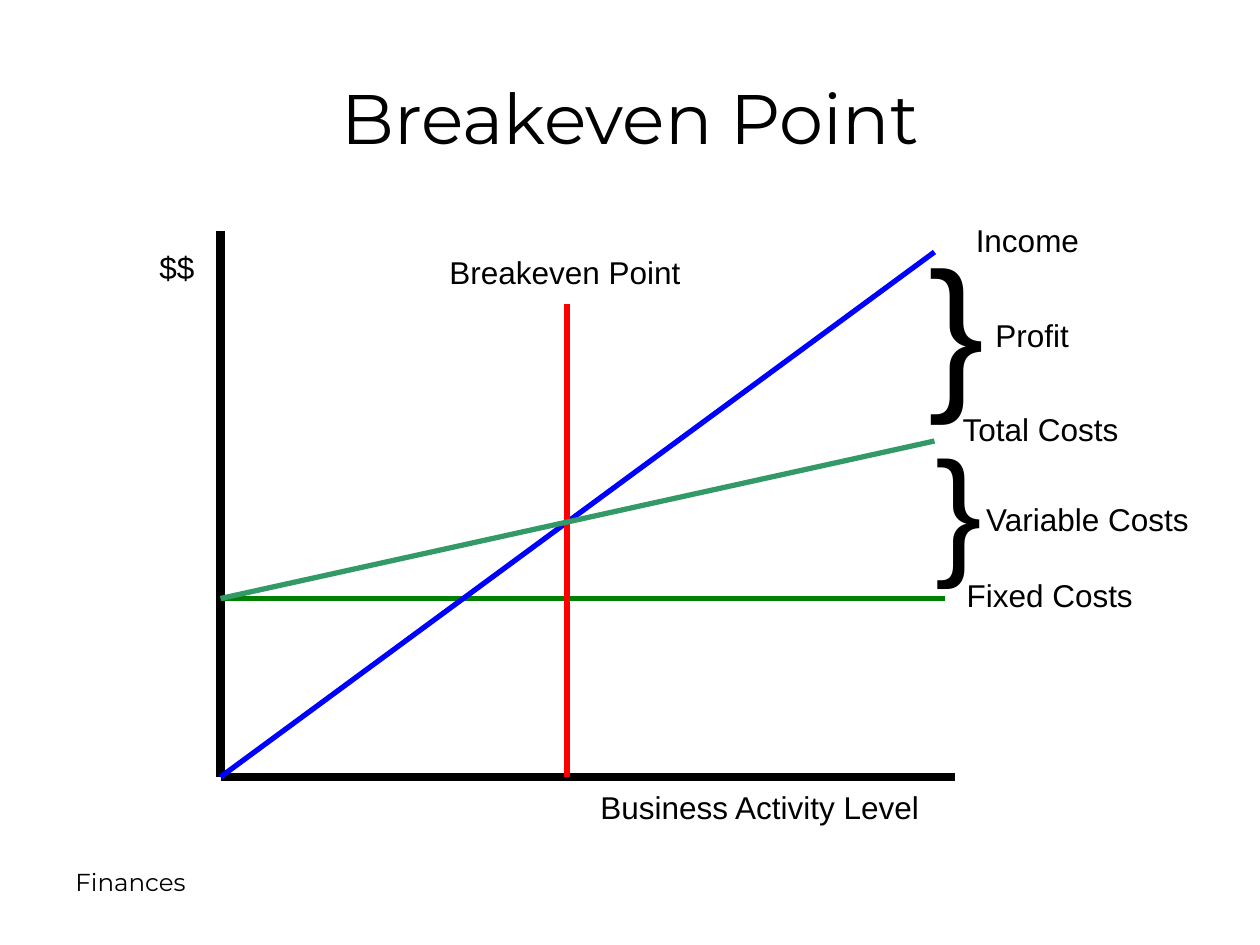
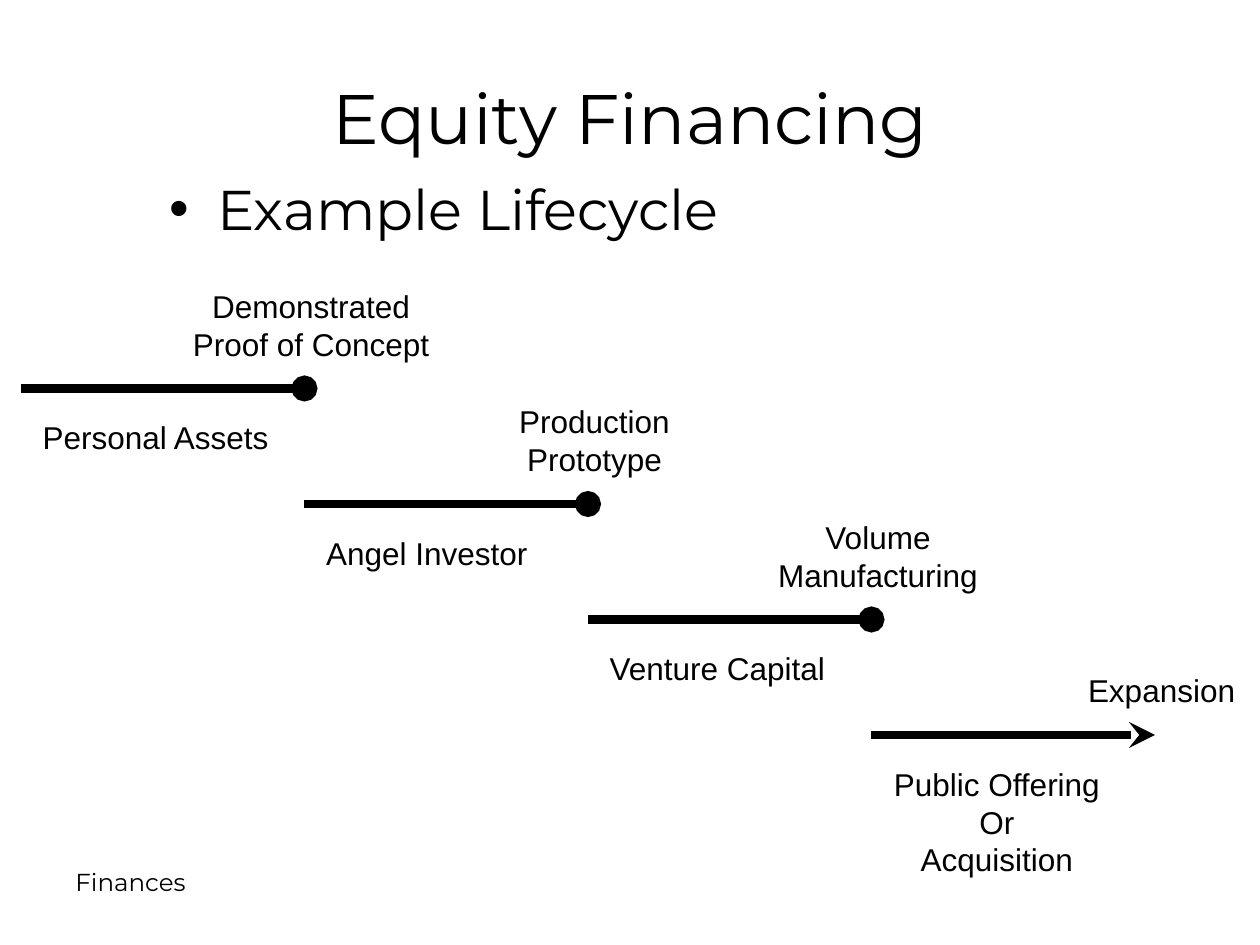
from lxml.etree import SubElement
from pptx import Presentation
from pptx.dml.color import RGBColor
from pptx.enum.shapes import MSO_CONNECTOR as Connector
from pptx.enum.text import MSO_ANCHOR as Anchor, MSO_AUTO_SIZE as AutoSize, PP_ALIGN as Align
from pptx.oxml.ns import qn
from pptx.util import Pt

PX = 9525  # EMU per px, 96 px to the inch
WIDTH, HEIGHT = 960, 720
TITLE_ONLY = 5

BLACK = RGBColor(0x00, 0x00, 0x00)
RED = RGBColor(0xFF, 0x00, 0x00)
BLUE = RGBColor(0x00, 0x00, 0xFF)
GREEN = RGBColor(0x00, 0x80, 0x00)
SEA_GREEN = RGBColor(0x33, 0x99, 0x66)

TITLE = {"name": "Montserrat", "size": Pt(40)}
BULLET = {"name": "Montserrat", "size": Pt(32)}
FOOTER = {"name": "Montserrat", "size": Pt(14)}
LABEL = {"name": "Arial", "size": Pt(18)}

FIXED = {"word_wrap": True, "auto_size": AutoSize.NONE}
GROWING = {"word_wrap": False, "auto_size": AutoSize.SHAPE_TO_FIT_TEXT}


def apply(target, values):
    for name, value in values.items():
        setattr(target, name, value)


class Deck:
    """Holds the shared style and the current slide."""

    def __init__(self):
        self.prs = Presentation()
        self.prs.slide_width, self.prs.slide_height = WIDTH * PX, HEIGHT * PX
        self.slide = None

    def new_slide(self, title):
        layout = self.prs.slide_layouts[TITLE_ONLY]
        self.slide = self.prs.slides.add_slide(layout)
        heading = self.slide.shapes.title
        box = {"left": 48, "top": 29, "width": 864, "height": 120}
        apply(heading, {side: px * PX for side, px in box.items()})
        self.set_text(heading.text_frame, title, TITLE, Align.CENTER,
                      {**FIXED, "vertical_anchor": Anchor.MIDDLE})
        self.text("Finances", 48, 656, 224, 50, FOOTER, frame=FIXED)

    def set_text(self, frame, words, font, align, settings):
        apply(frame, settings)
        frame.text = words
        for paragraph in frame.paragraphs:
            paragraph.alignment = align
            for run in paragraph.runs:
                apply(run.font, font)
                run.font.color.rgb = BLACK

    def text(self, words, x, y, width, height=38, font=LABEL,
             align=Align.LEFT, frame=GROWING):
        box = self.slide.shapes.add_textbox(x * PX, y * PX, width * PX, height * PX)
        self.set_text(box.text_frame, words, font, align, frame)
        return box

    def bullet(self, words, x, y, width, height, indent=36):
        box = self.text(words, x, y, width, height, BULLET, frame=FIXED)
        properties = box.text_frame.paragraphs[0]._p.get_or_add_pPr()
        properties.set("marL", str(indent * PX))
        properties.set("indent", str(-indent * PX))
        SubElement(properties, qn("a:buFont"), typeface="Arial")
        SubElement(properties, qn("a:buChar"), char="•")

    def line(self, start, end, color=BLACK, weight=5, tip=None):
        ends = [px * PX for px in (*start, *end)]
        stroke = self.slide.shapes.add_connector(Connector.STRAIGHT, *ends)
        stroke.line.color.rgb = color
        stroke.line.width = Pt(weight)
        properties = stroke._element.spPr
        if tip:
            SubElement(properties.find(qn("a:ln")), qn("a:tailEnd"), type=tip)
        SubElement(properties, qn("a:effectLst"))


def breakeven_slide(deck):
    deck.new_slide("Breakeven Point")
    origin_x, origin_y = 168, 592
    fixed_y, breakeven_x, curve_end = 456, 432, 712
    origin = (origin_x, origin_y)

    # Axes
    deck.line((origin_x, 176), origin)
    deck.line(origin, (728, origin_y))

    # Cost and income lines
    deck.line((origin_x, fixed_y), (720, fixed_y), GREEN, 3)
    deck.line(origin, (curve_end, 192), BLUE, 3)
    deck.line((breakeven_x, origin_y), (breakeven_x, 232), RED, 4)
    deck.line((origin_x, fixed_y), (curve_end, 336), SEA_GREEN, 3)

    # Labels: words, left, top, width
    for label in (
        ("Business Activity Level", 448, 596, 263),
        ("$$", 112, 184, 46),
        ("Fixed Costs", 727, 434, 146),
        ("Income", 734, 164, 98),
        ("Breakeven Point", 333, 188, 195),
        ("Total Costs", 724, 308, 140),
        ("Variable Costs", 742, 376, 175),
        ("Profit", 749, 236, 75),
    ):
        deck.text(*label)

    # Braces for variable costs and profit
    for x, y, width, height, points in ((703, 316, 55, 138, 80),
                                        (698, 165, 61, 163, 96)):
        deck.text("}", x, y, width, height, {**LABEL, "size": Pt(points)})


def equity_slide(deck):
    deck.new_slide("Equity Financing")
    deck.bullet("Example Lifecycle", 120, 128, 728, 64)

    # Funding stages descend in equal steps
    stages = (
        ("Personal Assets", 192, "Demonstrated\nProof of Concept"),
        ("Angel Investor", 173, "Production\nPrototype"),
        ("Venture Capital", 184, "Volume\nManufacturing"),
        ("Public Offering\nOr\nAcquisition", 177, "Expansion"),
    )
    length, drop = 216, 88
    for step, (source, source_width, milestone) in enumerate(stages):
        x, y = 16 + step * length, 296 + step * drop
        last = step == len(stages) - 1
        deck.line((x, y), (x + length, y), tip="stealth" if last else "oval")
        deck.text(milestone, x + 112, y - 80, 218, 65, align=Align.CENTER,
                  frame={**FIXED, "vertical_anchor": Anchor.BOTTOM})
        deck.text(source, x + 7, y + 18, source_width, 96 if last else 38,
                  align=Align.CENTER if last else Align.LEFT)


def main():
    deck = Deck()
    breakeven_slide(deck)
    equity_slide(deck)
    deck.prs.save("out.pptx")


if __name__ == "__main__":
    main()
